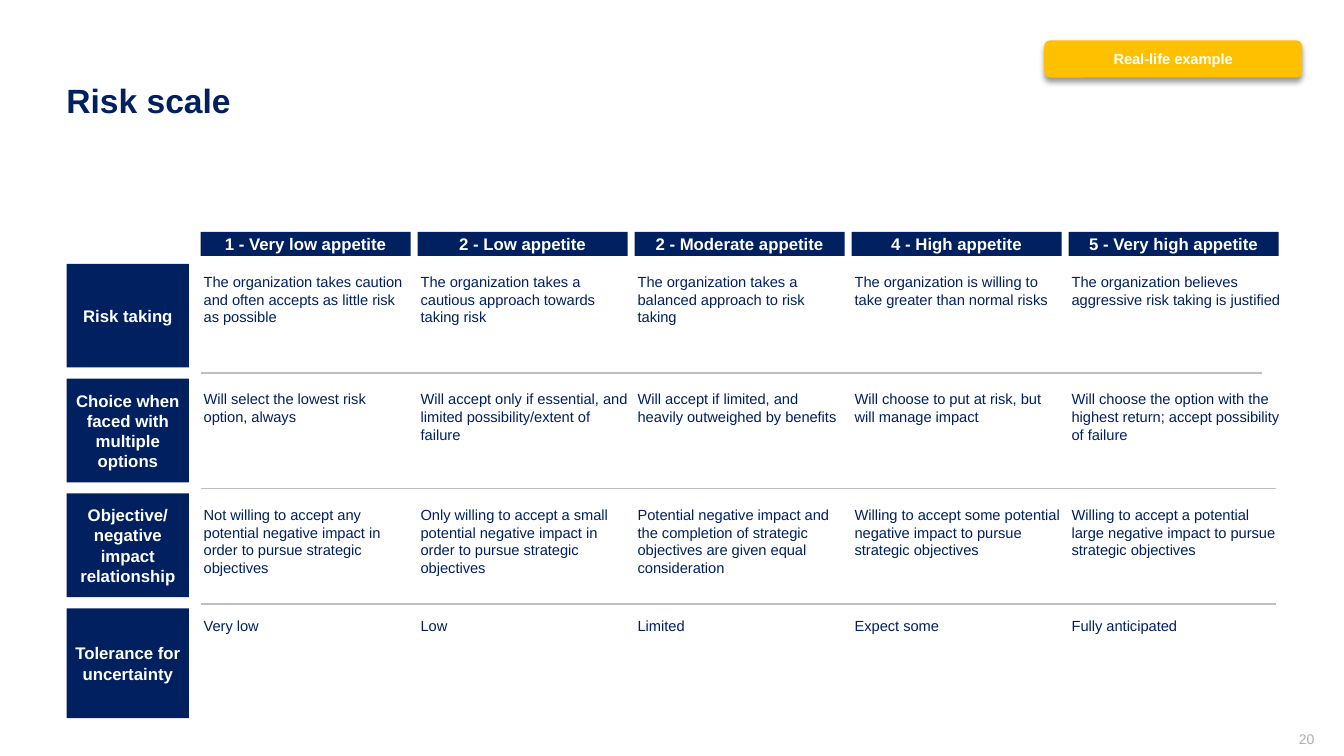
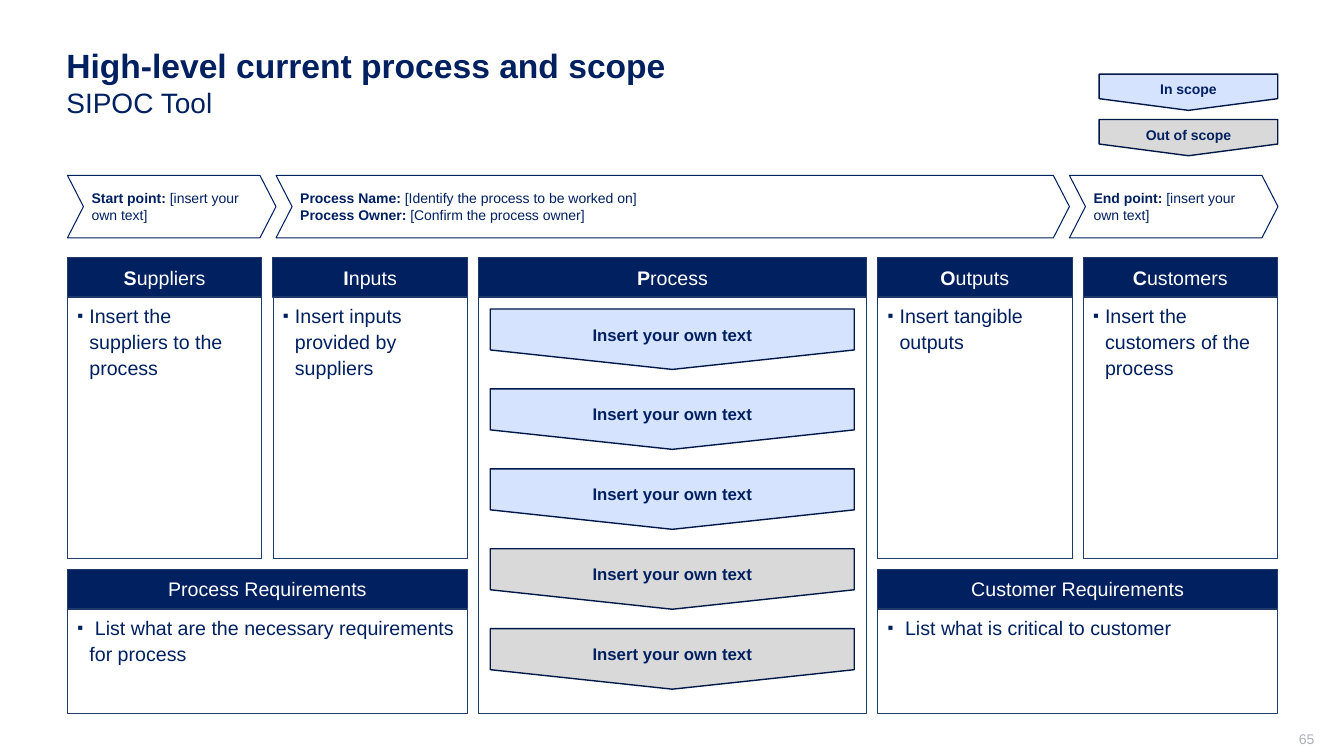
from lxml.etree import SubElement
from pptx import Presentation
from pptx.dml.color import RGBColor
from pptx.enum.shapes import MSO_CONNECTOR, MSO_SHAPE
from pptx.enum.text import MSO_ANCHOR, MSO_AUTO_SIZE, PP_ALIGN
from pptx.oxml.ns import qn
from pptx.util import Pt

FONT = "Arial"
NAVY = "002060"
WHITE = "FFFFFF"
BLUE = "D6E3FF"
GREY = "D9D9D9"
RULE = "BFBFBF"
AMBER = "FFC000"
PANEL_LINE = "1D3A6A"
PENNANT_LINE = "001847"
NUMBER = "ADAFBB"

LEFT = 48.2

APPETITES = [
    "1 - Very low appetite",
    "2 - Low appetite",
    "2 - Moderate appetite",
    "4 - High appetite",
    "5 - Very high appetite",
]

RISK_ROWS = [
    ("Risk taking", 74, 6.5, 38, [
        "The organization takes caution and often accepts as little risk as possible",
        "The organization takes a cautious approach towards taking risk",
        "The organization takes a balanced approach to risk taking",
        "The organization is willing to take greater than normal risks",
        "The organization believes aggressive risk taking is justified",
    ]),
    ("Choice when faced with multiple options", 74, 8.3, 38, [
        "Will select the lowest risk option, always",
        "Will accept only if essential, and limited possibility/extent of failure",
        "Will accept if limited, and heavily outweighed by benefits",
        "Will choose to put at risk, but will manage impact",
        "Will choose the option with the highest return; accept possibility of failure",
    ]),
    ("Objective/negative impact relationship", 74, 8.8, 51, [
        "Not willing to accept any potential negative impact in order to pursue strategic objectives",
        "Only willing to accept a small potential negative impact in order to pursue strategic objectives",
        "Potential negative impact and the completion of strategic objectives are given equal consideration",
        "Willing to accept some potential negative impact to pursue strategic objectives",
        "Willing to accept a potential large negative impact to pursue strategic objectives",
    ]),
    ("Tolerance for uncertainty", 78.5, 6.2, 13, [
        "Very low", "Low", "Limited", "Expect some", "Fully anticipated",
    ]),
]


def rgb(value):
    return RGBColor.from_string(value)


def set_frame(tf, insets=(7.2, 3.6, 7.2, 3.6), anchor=MSO_ANCHOR.MIDDLE):
    tf.word_wrap = True
    tf.vertical_anchor = anchor
    tf.margin_left, tf.margin_top, tf.margin_right, tf.margin_bottom = map(Pt, insets)


def style_run(r, size, color, bold):
    r.font.name = FONT
    r.font.size = Pt(size)
    r.font.bold = bold
    r.font.color.rgb = rgb(color)


def write(tf, text, size, color=NAVY, bold=False, align=PP_ALIGN.CENTER):
    tf.text = text
    for p in tf.paragraphs:
        p.alignment = align
        for r in p.runs:
            style_run(r, size, color, bold)


def write_lead(tf, lines, size, color=NAVY, align=PP_ALIGN.LEFT):
    for i, (lead, rest) in enumerate(lines):
        p = tf.add_paragraph() if i else tf.paragraphs[0]
        p.alignment = align
        for text, bold in ((lead, True), (rest, False)):
            if text:
                r = p.add_run()
                r.text = text
                style_run(r, size, color, bold)


def add_bullet(p, char="▪", indent=8.6):
    p.line_spacing = 1.1
    p.space_before = p.space_after = Pt(2)
    pPr = p._p.get_or_add_pPr()
    pPr.set("marL", str(Pt(indent)))
    pPr.set("indent", str(-Pt(indent)))
    SubElement(pPr, qn("a:buSzPct"), val="85000")
    SubElement(pPr, qn("a:buFont"), typeface=FONT)
    SubElement(pPr, qn("a:buChar"), char=char)


def add_box(s, x, y, w, h, fill=None, line=None, weight=0.75, kind=MSO_SHAPE.RECTANGLE):
    sp = s.shapes.add_shape(kind, Pt(x), Pt(y), Pt(w), Pt(h))
    sp.shadow.inherit = False
    if fill:
        sp.fill.solid()
        sp.fill.fore_color.rgb = rgb(fill)
    else:
        sp.fill.background()
    if line:
        sp.line.color.rgb = rgb(line)
        sp.line.width = Pt(weight)
    else:
        sp.line.fill.background()
    return sp


def add_text(s, x, y, w, h, text, size, insets=(0, 0, 0, 0), anchor=MSO_ANCHOR.TOP, **style):
    tf = s.shapes.add_textbox(Pt(x), Pt(y), Pt(w), Pt(h)).text_frame
    set_frame(tf, insets, anchor)
    write(tf, text, size, **style)
    return tf


def add_title(s, title, subtitle=None):
    text = f"{title}\v{subtitle}" if subtitle else title
    anchor = MSO_ANCHOR.TOP if subtitle else MSO_ANCHOR.MIDDLE
    tf = add_text(s, 40.3, 28.8, 872, 85.7, text, 24, (7.2, 3.6, 7.2, 3.6), anchor,
                  bold=True, align=PP_ALIGN.LEFT)
    for r in tf.paragraphs[0].runs[1:]:
        style_run(r, 20, NAVY, False)


def add_number(s, number):
    add_text(s, 722.9, 522, 216, 15.1, str(number), 10, (7.2, 0, 0, 3.6),
             MSO_ANCHOR.MIDDLE, color=NUMBER, align=PP_ALIGN.RIGHT)


def add_label(s, x, y, w, h, text):
    sp = add_box(s, x, y, w, h, NAVY)
    set_frame(sp.text_frame, (4.3, 4.3, 4.3, 4.3))
    write(sp.text_frame, text, 12, WHITE, True)


def add_cell(s, x, y, w, h, text):
    tf = add_text(s, x, y, w, h, text, 10.5, align=PP_ALIGN.LEFT)
    tf.auto_size = MSO_AUTO_SIZE.SHAPE_TO_FIT_TEXT
    tf.paragraphs[0].space_before = tf.paragraphs[0].space_after = Pt(1)


def add_rule(s, x1, x2, y):
    line = s.shapes.add_connector(MSO_CONNECTOR.STRAIGHT, Pt(x1), Pt(y), Pt(x2), Pt(y))
    line.line.color.rgb = rgb(RULE)
    line.line.width = Pt(1)
    SubElement(line.element.spPr, qn("a:effectLst"))


def add_badge(s, text):
    sp = add_box(s, 745.9, 28.8, 184.3, 26.6, AMBER, kind=MSO_SHAPE.ROUNDED_RECTANGLE)
    set_frame(sp.text_frame)
    write(sp.text_frame, text, 10.5, WHITE, True)
    effects = sp.element.spPr.find(qn("a:effectLst"))
    shadow = SubElement(effects, qn("a:outerShdw"), blurRad=str(Pt(4)), dist=str(Pt(3)),
                        dir="5400000", algn="t", rotWithShape="0")
    color = SubElement(shadow, qn("a:srgbClr"), val="000000")
    SubElement(color, qn("a:alpha"), val="40000")


def add_chevron(s, x, w, lines, fill=WHITE):
    sp = add_box(s, x, 125.3, w, 44.6, fill, NAVY, kind=MSO_SHAPE.CHEVRON)
    sp.adjustments[0] = 0.257
    set_frame(sp.text_frame, (5.8, 0, 5.8, 0))
    write_lead(sp.text_frame, lines, 10)


def add_panel(s, x, y, w, h, lead, rest, bullet=None):
    header_h = 28.4
    body = add_box(s, x, y + header_h, w, h - header_h, WHITE, PANEL_LINE, 0.5)
    if bullet:
        set_frame(body.text_frame, (7.2, 3.6, 7.2, 7.2), MSO_ANCHOR.TOP)
        write(body.text_frame, bullet, 14, align=PP_ALIGN.LEFT)
        add_bullet(body.text_frame.paragraphs[0])
    header = add_box(s, x, y, w, header_h, NAVY, PANEL_LINE)
    set_frame(header.text_frame, (7.2, 2.2, 7.2, 2.2))
    write_lead(header.text_frame, [(lead, rest)], 14, WHITE, PP_ALIGN.CENTER)


def add_pennant(s, cx, cy, w, h, text, size, fill):
    sp = add_box(s, cx - h / 2, cy - w / 2, h, w, fill, PENNANT_LINE, 1, MSO_SHAPE.PENTAGON)
    sp.adjustments[0] = 0.322
    sp.rotation = 90
    set_frame(sp.text_frame)
    sp.element.txBody.bodyPr.set("vert", "vert270")
    write(sp.text_frame, text, size, bold=True)


def build_risk_scale(s):
    add_title(s, "Risk scale")
    grid_x, col_step, col_w = 143.3, 155, 150
    grid_y, row_step = 188.5, 82
    for i, appetite in enumerate(APPETITES):
        add_label(s, grid_x + i * col_step, 165.6, col_w, 17.3, appetite)
    for row, (label, label_h, offset, cell_h, cells) in enumerate(RISK_ROWS):
        y = grid_y + row * row_step
        add_label(s, LEFT - 0.5, y, 87.3, label_h, label)
        for i, text in enumerate(cells):
            add_cell(s, grid_x + 2.2 + i * col_step, y + offset, col_w, cell_h, text)
    for i, end in enumerate((901.4, 911.5, 911.5)):
        add_rule(s, grid_x, end, 266.5 + i * 82.4)
    add_badge(s, "Real-life example")
    add_number(s, 20)


def build_sipoc(s):
    add_title(s, "High-level current process and scope", "SIPOC Tool")
    add_number(s, 65)

    end_w, name_w = 149, 566.7
    own_text = "[insert your own text]"
    add_chevron(s, LEFT, end_w, [("Start point: ", own_text)])
    add_chevron(s, LEFT + end_w, name_w, [
        ("Process Name:", " [Identify the process to be worked on]"),
        ("Process Owner: ", "[Confirm the process owner]"),
    ], None)
    add_chevron(s, LEFT + end_w + name_w, end_w, [("End point: ", own_text)])

    col_w, process_w, gap = 138.9, 277.2, 7.9
    top, col_h, bottom = 183.8, 214.9, 509.8
    columns = [
        ("S", "uppliers", col_w, "Insert the suppliers to the process"),
        ("I", "nputs", col_w, "Insert inputs provided by suppliers"),
        ("P", "rocess", process_w, None),
        ("O", "utputs", col_w, "Insert tangible outputs"),
        ("C", "ustomers", col_w, "Insert the customers of the process"),
    ]
    x, lefts = LEFT, {}
    for lead, rest, w, bullet in columns:
        lefts[lead] = x
        add_panel(s, x, top, w, col_h if bullet else bottom - top, lead, rest, bullet)
        x += w + gap

    low_y = top + col_h + gap
    for column, title, bullet in (
        ("S", "Process Requirements", " List what are the necessary requirements for process"),
        ("O", "Customer Requirements", " List what is critical to customer"),
    ):
        add_panel(s, lefts[column], low_y, 2 * col_w + gap, bottom - low_y, "", title, bullet)

    for i, fill in enumerate((BLUE, BLUE, BLUE, GREY, GREY)):
        add_pennant(s, 480.2, 242.3 + i * 57.1, 260, 43.2, "Insert your own text", 12, fill)
    for i, (text, fill) in enumerate((("In scope", BLUE), ("Out of scope", GREY))):
        add_pennant(s, 848.9, 65.9 + i * 32.4, 127.6, 25.9, text, 10, fill)


def main():
    prs = Presentation()
    prs.slide_width, prs.slide_height = Pt(960), Pt(540)
    for build in (build_risk_scale, build_sipoc):
        build(prs.slides.add_slide(prs.slide_layouts[6]))
    prs.save("out.pptx")


if __name__ == "__main__":
    main()
